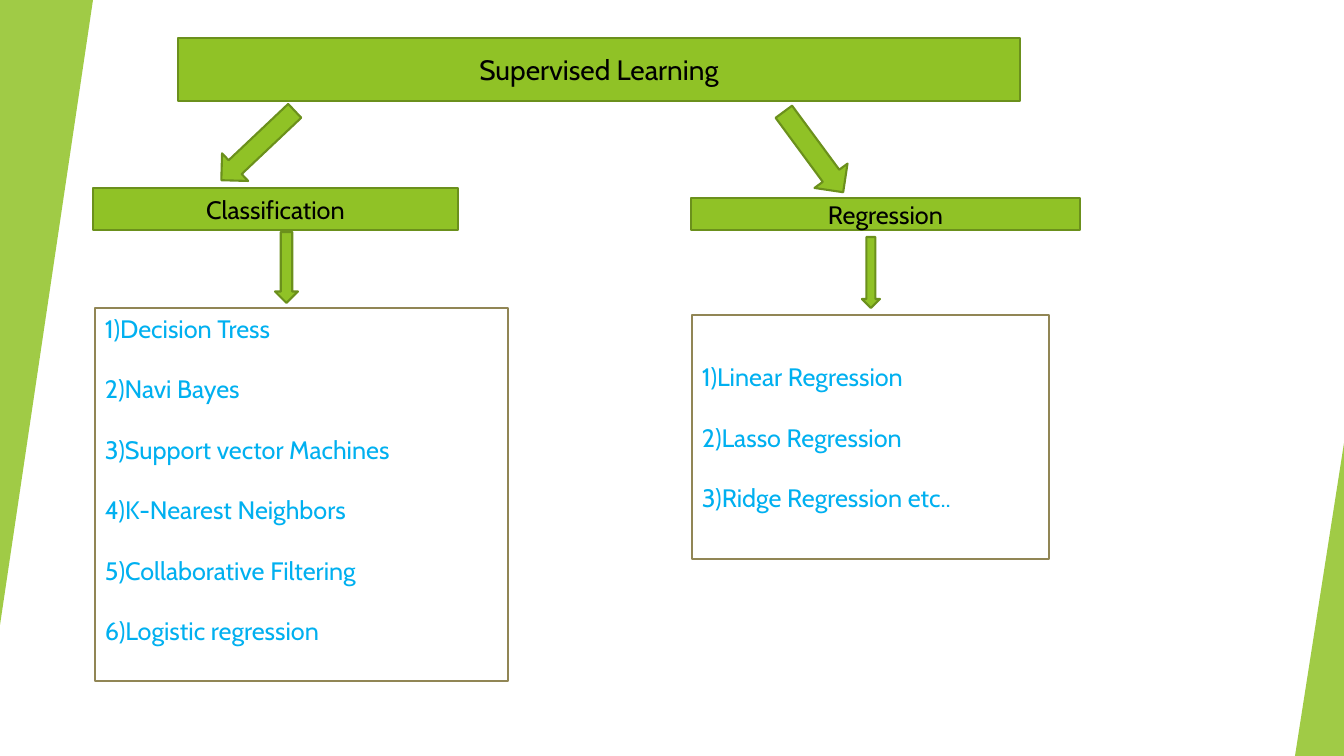
from lxml import etree
from pptx import Presentation
from pptx.dml.color import RGBColor
from pptx.enum.shapes import MSO_SHAPE
from pptx.enum.text import MSO_ANCHOR, MSO_AUTO_SIZE, PP_ALIGN
from pptx.oxml.ns import qn
from pptx.util import Pt

PAGE_WIDTH, PAGE_HEIGHT = 1344, 756
EMU_PER_PX = 12192000 / PAGE_WIDTH
FONT = "Cabin"
COLORS = {
    "green": "90C226",
    "dark_green": "6B901C",
    "olive": "918655",
    "blue": "00B0F0",
    "black": "000000",
    "white": "FFFFFF",
}

RECTANGLE = MSO_SHAPE.RECTANGLE
TRIANGLE = MSO_SHAPE.ISOSCELES_TRIANGLE
UP_ARROW = MSO_SHAPE.UP_ARROW
DOWN_ARROW = MSO_SHAPE.DOWN_ARROW
TOP, MIDDLE = MSO_ANCHOR.TOP, MSO_ANCHOR.MIDDLE
LEFT, CENTER = PP_ALIGN.LEFT, PP_ALIGN.CENTER
NO_AUTOFIT = MSO_AUTO_SIZE.NONE


def px(length):
    return round(length * EMU_PER_PX)


def color(name):
    return RGBColor.from_string(COLORS[name])


def inside(region, part):
    """Place a part, given by its offset and size, in a region."""
    left, top, width, height = part
    return region[0] + left, region[1] + top, width, height


def paint(shape, fill, line):
    shape.fill.solid()
    shape.fill.fore_color.rgb = color(fill)
    if line:
        shape.line.color.rgb = color(line)
        shape.line.width = Pt(1.5)
    else:
        shape.line.fill.background()


def add_figure(page, kind, box, fill="green", line="dark_green", rotation=0):
    shape = page.shapes.add_shape(kind, *map(px, box))
    shape.shadow.inherit = False
    shape.rotation = rotation
    paint(shape, fill, line)
    return shape


def write(shape, lines, size, ink="black", align=CENTER, anchor=MIDDLE):
    frame = shape.text_frame
    frame.word_wrap = True
    frame.auto_size = NO_AUTOFIT
    frame.vertical_anchor = anchor
    for index, line in enumerate(lines):
        para = frame.add_paragraph() if index else frame.paragraphs[0]
        para.text = line
        para.alignment = align
        para.space_before = Pt(21.6 if index else 0)
        para.font.name = FONT
        para.font.size = Pt(size)
        para.font.color.rgb = color(ink)


def add_wedge(page, box, rotation=0):
    """Add a translucent right triangle at an edge of the page."""
    wedge = add_figure(page, TRIANGLE, box, line=None, rotation=rotation)
    wedge.adjustments[0] = 1
    tint = wedge.fill._xPr.find(qn("a:solidFill"))[0]
    etree.SubElement(tint, qn("a:alpha"), val="85000")


def add_title(page, box):
    title = page.shapes.title
    title.left, title.top, title.width, title.height = map(px, box)
    paint(title, "green", "dark_green")
    write(title, ["Supervised Learning"], 20)


def add_branch(page, region, name, methods, header, stem, panel, anchor):
    """Add a named header, an arrow down and a numbered list of methods."""
    write(add_figure(page, RECTANGLE, inside(region, header)), [name], 18)
    add_figure(page, DOWN_ARROW, inside(region, stem))
    method_box = add_figure(page, RECTANGLE, inside(region, panel), "white", "olive")
    lines = [f"{number}){method}" for number, method in enumerate(methods, 1)]
    write(method_box, lines, 18, "blue", LEFT, anchor)


def main():
    deck = Presentation()
    deck.slide_width, deck.slide_height = px(PAGE_WIDTH), px(PAGE_HEIGHT)
    page = deck.slides.add_slide(deck.slide_layouts[5])

    add_wedge(page, (0, 0, 93, 625), rotation=180)
    add_wedge(page, (PAGE_WIDTH - 49, PAGE_HEIGHT - 313, 49, 313))
    add_title(page, (178, 38, 842, 63))

    add_figure(page, UP_ARROW, (239, 95, 38, 101), rotation=226.6)
    add_branch(
        page, (93, 188, 415, 493), "Classification",
        ["Decision Tress", "Navi Bayes", "Support vector Machines",
         "K-Nearest Neighbors", "Collaborative Filtering", "Logistic regression"],
        header=(0, 0, 365, 42), stem=(182, 44, 23, 71),
        panel=(2, 120, 413, 373), anchor=TOP)

    add_figure(page, UP_ARROW, (793, 102, 41, 100), rotation=143.6)
    add_branch(
        page, (691, 198, 389, 361), "Regression",
        ["Linear Regression", "Lasso Regression", "Ridge Regression etc.."],
        header=(0, 0, 389, 32), stem=(171, 39, 18, 71),
        panel=(1, 117, 357, 244), anchor=MIDDLE)

    deck.save("out.pptx")


if __name__ == "__main__":
    main()
